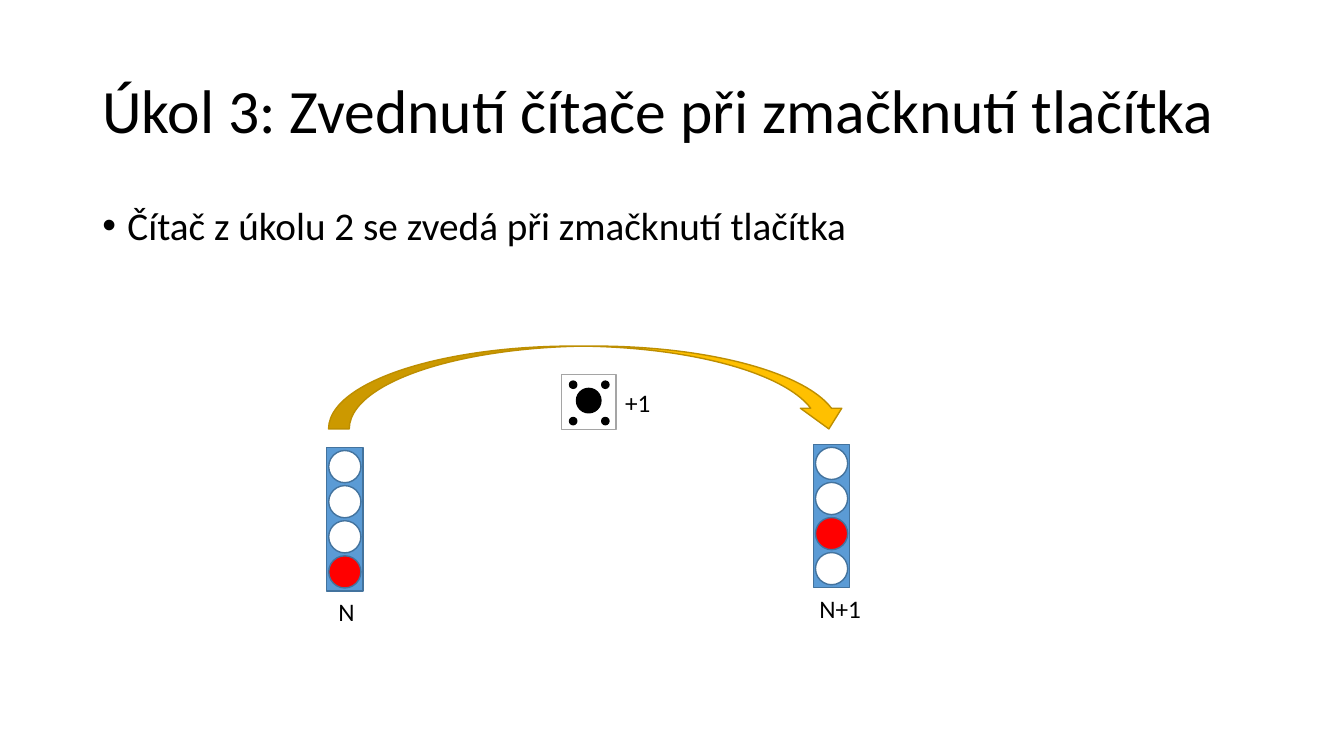
from lxml import etree
from pptx import Presentation
from pptx.dml.color import RGBColor
from pptx.enum.shapes import MSO_SHAPE
from pptx.enum.text import MSO_ANCHOR
from pptx.oxml.ns import qn
from pptx.util import Pt

RECT, OVAL, ARROW = MSO_SHAPE.RECTANGLE, MSO_SHAPE.OVAL, MSO_SHAPE.CURVED_DOWN_ARROW
TOP, MIDDLE = MSO_ANCHOR.TOP, MSO_ANCHOR.MIDDLE
FONT = "Calibri"
BLACK, WHITE = RGBColor(0, 0, 0), RGBColor(255, 255, 255)
RED, GRAY = RGBColor(255, 0, 0), RGBColor(0xA5, 0xA5, 0xA5)
BLUE, DARK_BLUE = RGBColor(0x5B, 0x9B, 0xD5), RGBColor(0x43, 0x73, 0x9E)
GOLD, DARK_GOLD = RGBColor(0xFF, 0xC0, 0x00), RGBColor(0xBD, 0x8E, 0x00)

# Content
TITLE = "Úkol 3: Zvednutí čítače při zmačknutí tlačítka"
BULLET = "Čítač z úkolu 2 se zvedá při zmačknutí tlačítka"
STEP = "+1"
COUNTERS = [  # label, label left, column left, column top, lit lamp
    ("N", 234.7, 233.3, 319.7, 3),
    ("N+1", 578.2, 581, 317.4, 2),
]

# Counter and button measures
LAMPS, LAMP, PITCH = 4, 23, 25.06
COLUMN_WIDTH, COLUMN_HEIGHT = 26, 102.4
BUTTON_LEFT, BUTTON_TOP, BUTTON = 401, 267.7, 39
CAP, PIN, PIN_SPREAD = 17.5, 5.2, 23


def add_figure(parent, kind, left, top, width, height, fill, line):
    figure = parent.shapes.add_shape(kind, Pt(left), Pt(top), Pt(width), Pt(height))
    figure.shadow.inherit = False
    figure.fill.solid()
    figure.fill.fore_color.rgb = fill
    figure.line.color.rgb = line
    figure.line.width = Pt(1)


def add_text(parent, text, left, top, width, height, size=18, anchor=TOP):
    box = parent.shapes.add_textbox(Pt(left), Pt(top), Pt(width), Pt(height))
    frame = box.text_frame
    frame.word_wrap = True
    frame.vertical_anchor = anchor
    para = frame.paragraphs[0]
    span = para.add_run()
    span.text = text
    span.font.name, span.font.size = FONT, Pt(size)
    span.font.color.rgb = BLACK
    return para


deck = Presentation()
deck.slide_width, deck.slide_height = Pt(960), Pt(540)
page = deck.slides.add_slide(deck.slide_layouts[6])

# Title and bullet
title = add_text(page, TITLE, 66, 28.8, 828, 104.4, 44, MIDDLE)
title.line_spacing = 0.9
bullet = add_text(page, BULLET, 66, 143.8, 828, 342.7, 28)
bullet.line_spacing = 0.9
bullet.space_before = Pt(10)
properties = bullet._p.get_or_add_pPr()
properties.set("marL", str(Pt(18)))
properties.set("indent", str(Pt(-18)))
etree.SubElement(properties, qn("a:buFont")).set("typeface", "Arial")
etree.SubElement(properties, qn("a:buChar")).set("char", "•")

# Counters: a column of lamps with its label
for label, label_left, left, top, lit in COUNTERS:
    counter = page.shapes.add_group_shape()
    add_figure(counter, RECT, left, top, COLUMN_WIDTH, COLUMN_HEIGHT, BLUE, DARK_BLUE)
    lamp_left = left + (COLUMN_WIDTH - LAMP) / 2
    margin = (COLUMN_HEIGHT - LAMP - (LAMPS - 1) * PITCH) / 2
    for row in range(LAMPS):
        add_figure(counter, OVAL, lamp_left, top + margin + row * PITCH, LAMP, LAMP,
                   RED if row == lit else WHITE, DARK_BLUE)
    add_text(counter, label, label_left, top + COLUMN_HEIGHT + 0.4, 55, 29)

# Push button: a cap and four corner pins
button = page.shapes.add_group_shape()
add_figure(button, RECT, BUTTON_LEFT, BUTTON_TOP, BUTTON, BUTTON, WHITE, GRAY)
cap_left = BUTTON_LEFT + (BUTTON - CAP) / 2
add_figure(button, OVAL, cap_left, BUTTON_TOP + 9.7, CAP, CAP, BLACK, BLACK)
for across in (0, 1):
    for down in (0, 1):
        add_figure(button, OVAL, BUTTON_LEFT + 5.8 + across * PIN_SPREAD,
                   BUTTON_TOP + 4.5 + down * 26, PIN, PIN, BLACK, BLACK)

# Step from one counter to the next
add_figure(page, ARROW, 234.7, 247.2, 372.2, 59.2, GOLD, DARK_GOLD)
add_text(page, STEP, 439.4, 272.8, 56, 29)

deck.save("out.pptx")
